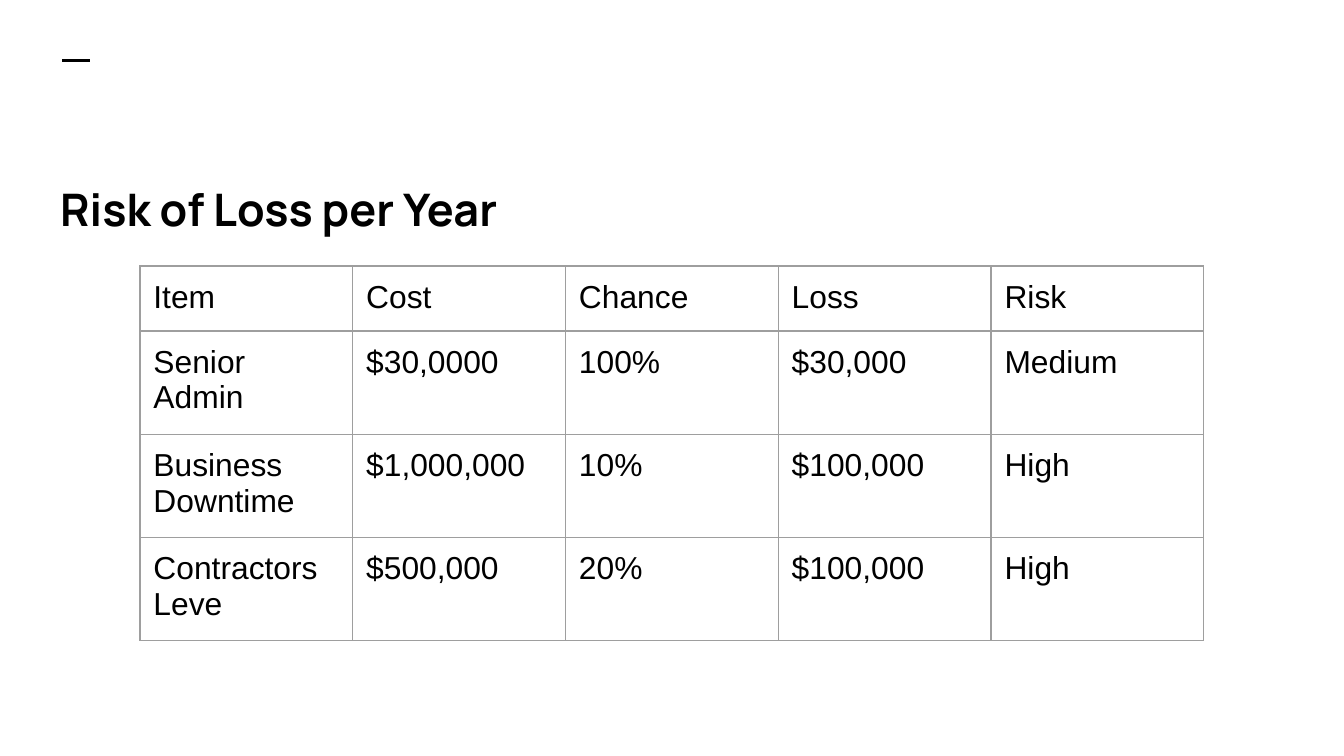
from typing import NamedTuple

from lxml import etree
from pptx import Presentation
from pptx.dml.color import RGBColor
from pptx.enum.shapes import MSO_CONNECTOR
from pptx.enum.text import MSO_ANCHOR
from pptx.oxml.ns import qn
from pptx.slide import Slide
from pptx.table import _Cell
from pptx.text.text import TextFrame
from pptx.util import Pt

BLACK = RGBColor(0x00, 0x00, 0x00)
GREY = RGBColor(0x9E, 0x9E, 0x9E)
STRAIGHT = MSO_CONNECTOR.STRAIGHT
BOTTOM = MSO_ANCHOR.BOTTOM
INSET = Pt(7.2)
COL_WIDTH, ROW_HEIGHT = 114, 30
SIDES = ("a:lnL", "a:lnR", "a:lnT", "a:lnB")


class Entry(NamedTuple):
    item: str
    cost: str
    chance: str
    loss: str
    risk: str


ENTRIES = [
    Entry("Item", "Cost", "Chance", "Loss", "Risk"),
    Entry("Senior Admin", "$30,0000", "100%", "$30,000", "Medium"),
    Entry("Business Downtime", "$1,000,000", "10%", "$100,000", "High"),
    Entry("Contractors Leve", "$500,000", "20%", "$100,000", "High"),
]


def write(frame: TextFrame, text: str, face: str, size: float, bold: bool) -> None:
    frame.text = text
    font = frame.paragraphs[0].font
    font.name, font.size, font.bold = face, Pt(size), bold
    font.color.rgb = BLACK


def draw_dash(slide: Slide) -> None:
    dash = slide.shapes.add_connector(STRAIGHT, Pt(33.5), Pt(32.5), Pt(48), Pt(32.5))
    dash.line.color.rgb = BLACK
    dash.line.width = Pt(1.5)
    etree.SubElement(dash._element.spPr, qn("a:effectLst"))


def draw_title(slide: Slide, text: str) -> None:
    box = slide.shapes.add_textbox(Pt(25.2), Pt(73.4), Pt(299.5), Pt(59.8))
    frame = box.text_frame
    frame.word_wrap = True
    frame.vertical_anchor = BOTTOM
    frame.margin_left = frame.margin_right = INSET
    frame.margin_top = frame.margin_bottom = INSET
    write(frame, text, "Manrope", 24, True)


def add_border(cell: _Cell) -> None:
    props = cell._tc.get_or_add_tcPr()
    for place, side in enumerate(SIDES):
        line = etree.Element(qn(side), w=str(Pt(0.75)))
        fill = etree.SubElement(line, qn("a:solidFill"))
        etree.SubElement(fill, qn("a:srgbClr"), val=str(GREY))
        props.insert(place, line)  # borders come before the fill


def draw_table(slide: Slide, entries: list[Entry]) -> None:
    rows, cols = len(entries), len(Entry._fields)
    table = slide.shapes.add_table(
        rows, cols, Pt(75), Pt(142.5), Pt(cols * COL_WIDTH), Pt(rows * ROW_HEIGHT)
    ).table
    table.first_row = table.horz_banding = False
    for row, entry in enumerate(entries):
        for col, text in enumerate(entry):
            cell = table.cell(row, col)
            cell.margin_left = cell.margin_right = INSET
            cell.margin_top = cell.margin_bottom = INSET
            cell.fill.background()
            add_border(cell)
            write(cell.text_frame, text, "Arial", 17, False)


def main() -> None:
    deck = Presentation()
    deck.slide_width, deck.slide_height = Pt(720), Pt(405)
    slide = deck.slides.add_slide(deck.slide_layouts[6])

    # Heading
    draw_dash(slide)
    draw_title(slide, "Risk of Loss per Year")

    # Risk figures
    draw_table(slide, ENTRIES)

    deck.save("out.pptx")


if __name__ == "__main__":
    main()
